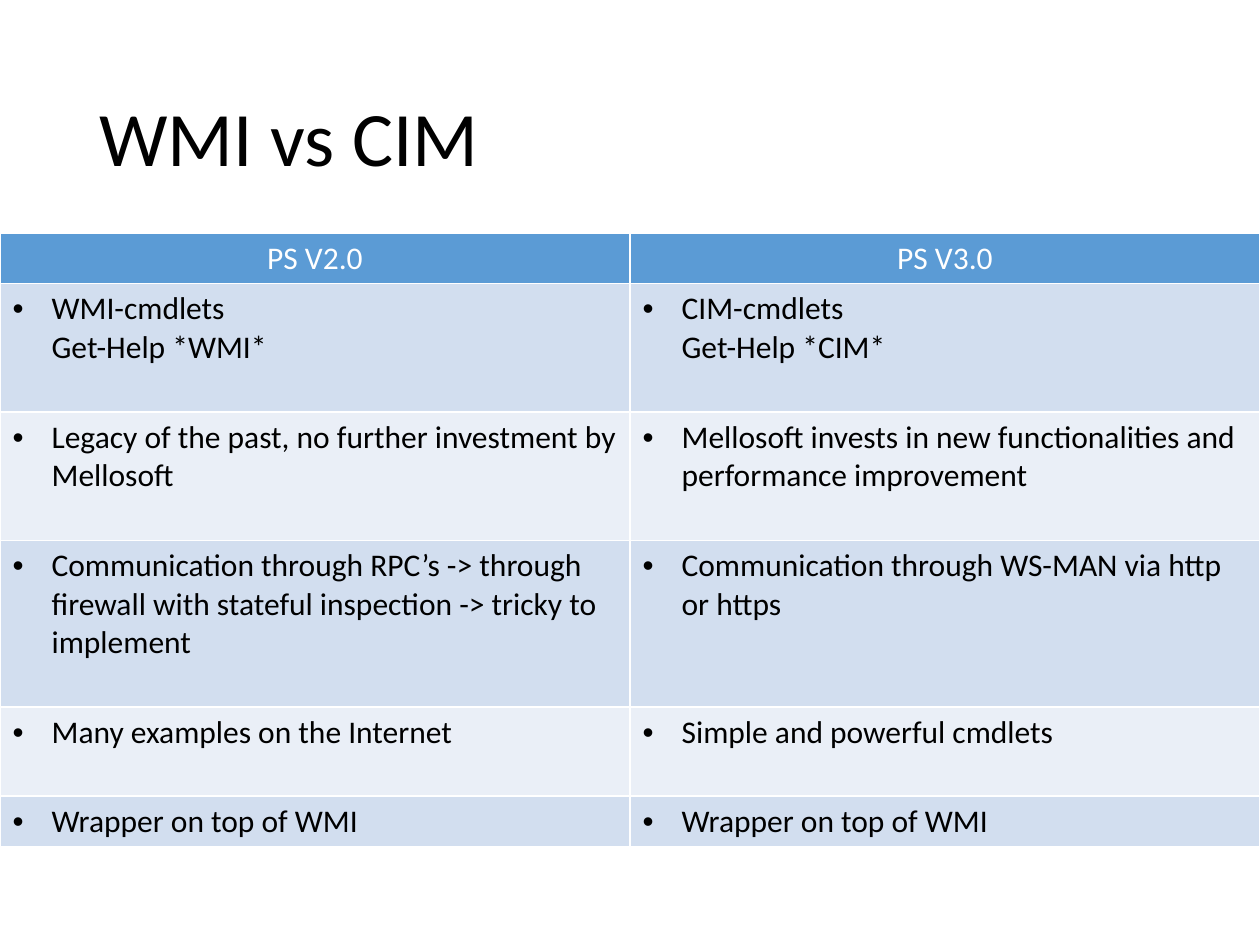
from lxml.etree import SubElement
from pptx import Presentation
from pptx.dml.color import RGBColor
from pptx.enum.text import MSO_ANCHOR, PP_ALIGN
from pptx.oxml.ns import qn
from pptx.util import Inches, Pt

HUES = {"ink": "000000", "white": "FFFFFF", "head": "5B9BD5",
        "dark": "D2DEEF", "light": "EAEFF7"}


def write(frame, text, size=18, hue="ink", align=PP_ALIGN.LEFT, space=1.0, bullet=False):
    para = frame.paragraphs[0]
    para.text = text
    para.alignment = align
    para.line_spacing = space
    para.font.size = Pt(size)
    para.font.name = "Calibri"
    para.font.color.rgb = RGBColor.from_string(HUES[hue])
    for run in para.runs:
        run.font.size = Pt(size)
        run.font.name = "Calibri"
        run.font.color.rgb = RGBColor.from_string(HUES[hue])
    if bullet:
        props = para._p.get_or_add_pPr()
        props.set("marL", str(Inches(0.31)))
        props.set("indent", str(-Inches(0.31)))
        SubElement(props, qn("a:buFont"), typeface="Arial")
        SubElement(props, qn("a:buChar"), char="•")


def edge(cell):
    props = cell._tc.get_or_add_tcPr()
    for side in ("lnL", "lnR", "lnT", "lnB"):
        line = SubElement(props, qn(f"a:{side}"), w=str(Pt(1)))
        fill = SubElement(line, qn("a:solidFill"))
        SubElement(fill, qn("a:srgbClr"), val=HUES["white"])


deck = Presentation()
deck.slide_width, deck.slide_height = Inches(10), Inches(7.5)
slide = deck.slides.add_slide(deck.slide_layouts[6])

# Title
title = slide.shapes.add_textbox(Inches(0.69), Inches(0.4), Inches(8.62), Inches(1.45))
title.text_frame.word_wrap = True
title.text_frame.vertical_anchor = MSO_ANCHOR.MIDDLE
write(title.text_frame, "WMI vs CIM", size=44, space=0.9)

# Rows: height, left text, right text
rows = [
    (0.4, "PS V2.0", "PS V3.0"),
    (1.02, "WMI-cmdlets\vGet-Help *WMI*", "CIM-cmdlets\vGet-Help *CIM*"),
    (1.02, "Legacy of the past, no further investment by Mellosoft",
     "Mellosoft invests in new functionalities and performance improvement"),
    (1.32, "Communication through RPC’s -> through firewall with stateful "
     "inspection -> tricky to implement",
     "Communication through WS-MAN via http or https"),
    (0.71, "Many examples on the Internet", "Simple and powerful cmdlets"),
    (0.4, "Wrapper on top of WMI", "Wrapper on top of WMI"),
]

# Comparison table, two equal columns across the slide
total = sum(row[0] for row in rows)
table = slide.shapes.add_table(len(rows), 2, 0, Inches(1.85),
                               deck.slide_width, Inches(total)).table
for r, (height, *texts) in enumerate(rows):
    table.rows[r].height = Inches(height)
    band = "head" if r == 0 else "dark" if r % 2 else "light"
    for c, text in enumerate(texts):
        cell = table.cell(r, c)
        edge(cell)
        cell.fill.solid()
        cell.fill.fore_color.rgb = RGBColor.from_string(HUES[band])
        if r == 0:
            write(cell.text_frame, text, hue="white", align=PP_ALIGN.CENTER)
        else:
            write(cell.text_frame, text, bullet=True)

# The table style bolds its first row unless told otherwise
table.first_row = False

deck.save("out.pptx")
